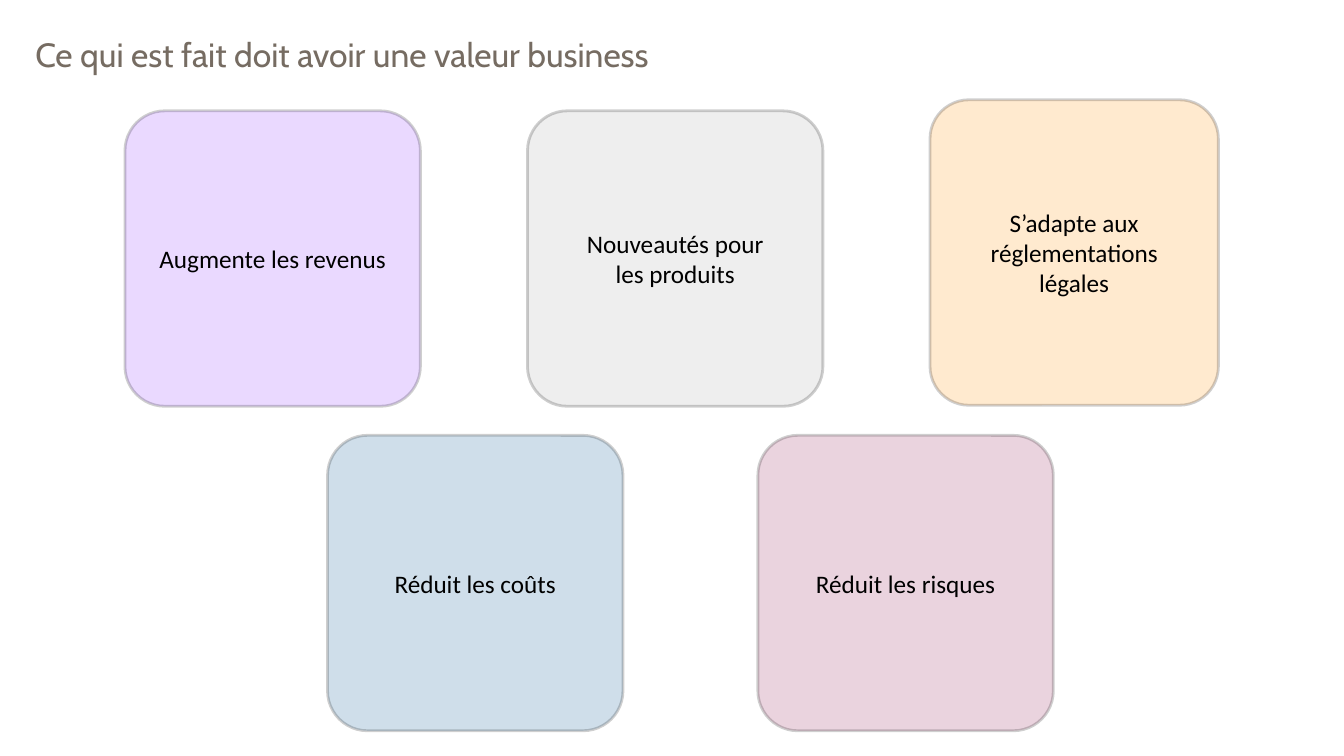
from dataclasses import dataclass

from lxml import etree
from pptx import Presentation
from pptx.dml.color import RGBColor
from pptx.enum.shapes import MSO_SHAPE
from pptx.enum.text import MSO_ANCHOR, PP_ALIGN
from pptx.oxml.ns import qn
from pptx.slide import Slide
from pptx.text.text import TextFrame
from pptx.util import Pt

ROUNDED = MSO_SHAPE.ROUNDED_RECTANGLE
MIDDLE = MSO_ANCHOR.MIDDLE
LEFT, CENTER = PP_ALIGN.LEFT, PP_ALIGN.CENTER
TITLE_ONLY = 5


@dataclass(frozen=True)
class Theme:
    title_font: str = "Cabin"
    title_size: float = 24
    title_color: str = "766C62"
    card_font: str = "Calibri"
    card_size: float = 18
    card_color: str = "000000"
    border_color: str = "000000"
    border_width: float = 2
    opacity: int = 19  # percent, for card fill and border
    corner: float = 0.135


@dataclass(frozen=True)
class Card:
    label: str
    color: str
    left: float
    top: float
    width: float = 211
    height: float = 211
    side_margin: float = 26


THEME = Theme()
TITLE = "Ce qui est fait doit avoir une valeur business"

# Layout: three columns above, two cards below
COLUMN_LEFT, COLUMN_STEP = 89.3, 287.5
UPPER_TOP, LOWER_TOP = 79.2, 311

BUSINESS_VALUES = [
    Card("Augmente les revenus", "9437FF", COLUMN_LEFT, UPPER_TOP, side_margin=4),
    Card("Nouveautés pour les produits", "A9A9A9", COLUMN_LEFT + COLUMN_STEP, UPPER_TOP),
    Card("S’adapte aux réglementations légales", "FF9300",
         COLUMN_LEFT + 2 * COLUMN_STEP, 71.3, width=206, height=218.2),
    Card("Réduit les coûts", "005493", 234, LOWER_TOP),
    Card("Réduit les risques", "941751", 541.4, LOWER_TOP),
]


def write(frame: TextFrame, text: str, *, font: str, size: float, color: str,
          align: PP_ALIGN, side_margin: float = 3.6, spacing: float = 1.0) -> None:
    frame.word_wrap = True
    frame.vertical_anchor = MIDDLE
    frame.margin_left = frame.margin_right = Pt(side_margin)
    frame.margin_top = frame.margin_bottom = Pt(3.6)
    frame.text = text
    paragraph = frame.paragraphs[0]
    paragraph.alignment = align
    paragraph.line_spacing = spacing
    run_font = paragraph.runs[0].font
    run_font.name = font
    run_font.size = Pt(size)
    run_font.color.rgb = RGBColor.from_string(color)


def add_title(slide: Slide, text: str) -> None:
    title = slide.shapes.title
    title.left, title.top = Pt(21.6), Pt(22.3)
    title.width, title.height = Pt(781.2), Pt(36)
    write(title.text_frame, text, font=THEME.title_font, size=THEME.title_size,
          color=THEME.title_color, align=LEFT, spacing=0.9)


def add_card(slide: Slide, card: Card) -> None:
    box = slide.shapes.add_shape(ROUNDED, Pt(card.left), Pt(card.top),
                                 Pt(card.width), Pt(card.height))
    box.adjustments[0] = THEME.corner
    box.shadow.inherit = False
    box.fill.solid()
    box.fill.fore_color.rgb = RGBColor.from_string(card.color)
    box.line.width = Pt(THEME.border_width)
    box.line.color.rgb = RGBColor.from_string(THEME.border_color)

    # Fill and border share one transparency
    for color in box._element.spPr.findall(".//" + qn("a:srgbClr")):
        etree.SubElement(color, qn("a:alpha"), val=str(THEME.opacity * 1000))

    write(box.text_frame, card.label, font=THEME.card_font, size=THEME.card_size,
          color=THEME.card_color, align=CENTER, side_margin=card.side_margin)


def main() -> None:
    deck = Presentation()
    deck.slide_width, deck.slide_height = Pt(960), Pt(540)
    slide = deck.slides.add_slide(deck.slide_layouts[TITLE_ONLY])
    add_title(slide, TITLE)
    for card in BUSINESS_VALUES:
        add_card(slide, card)
    deck.save("out.pptx")


if __name__ == "__main__":
    main()
